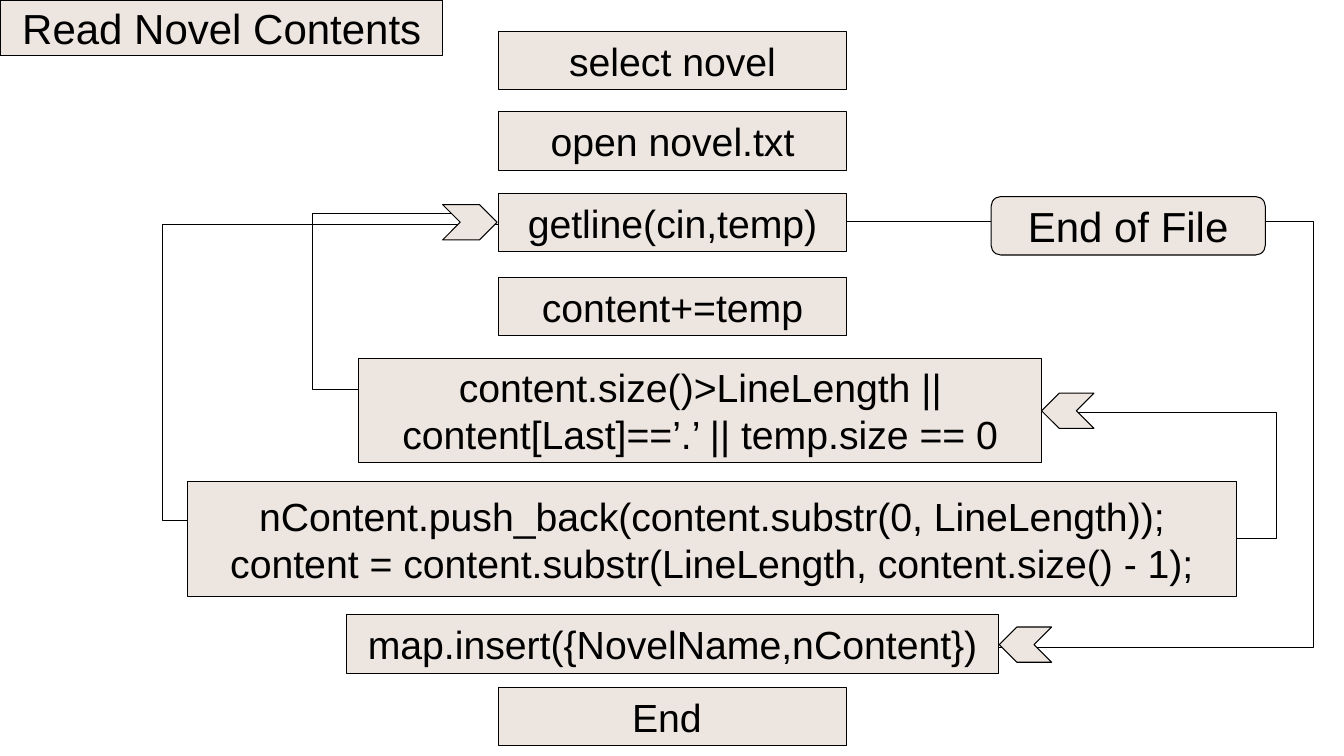
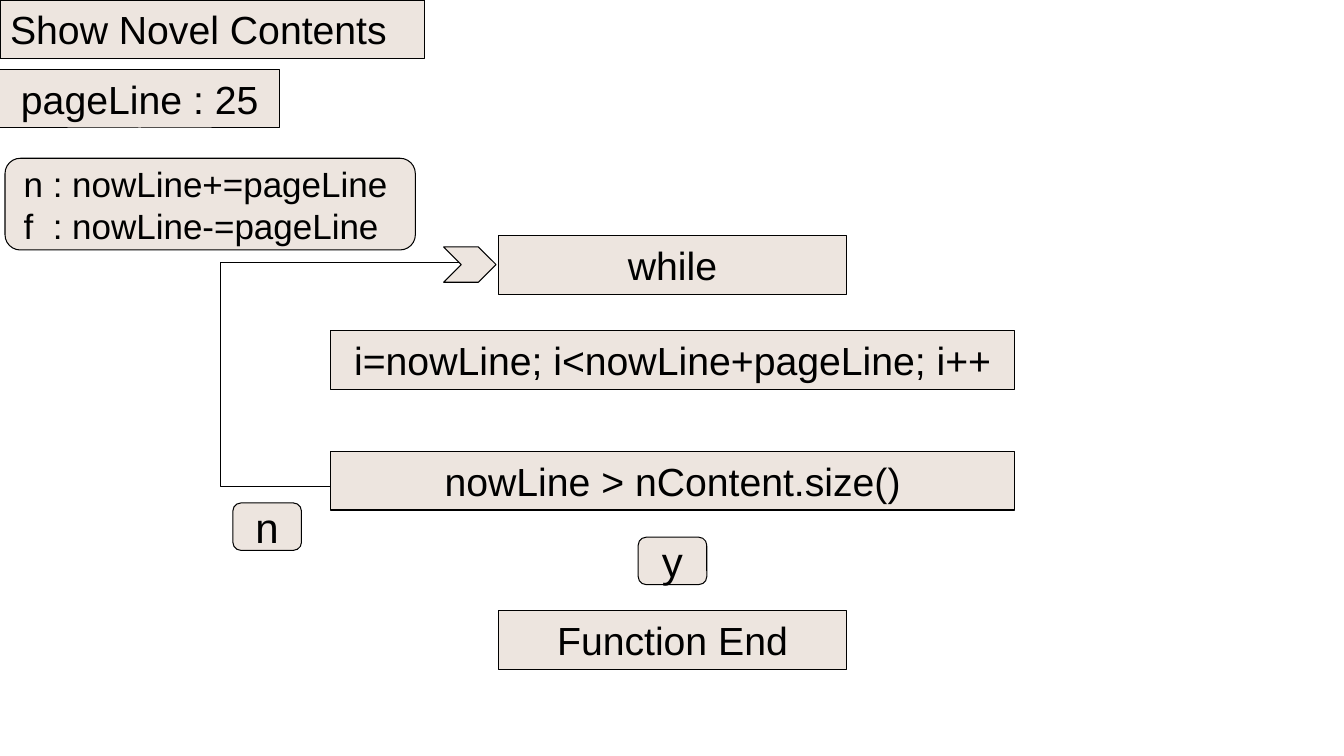
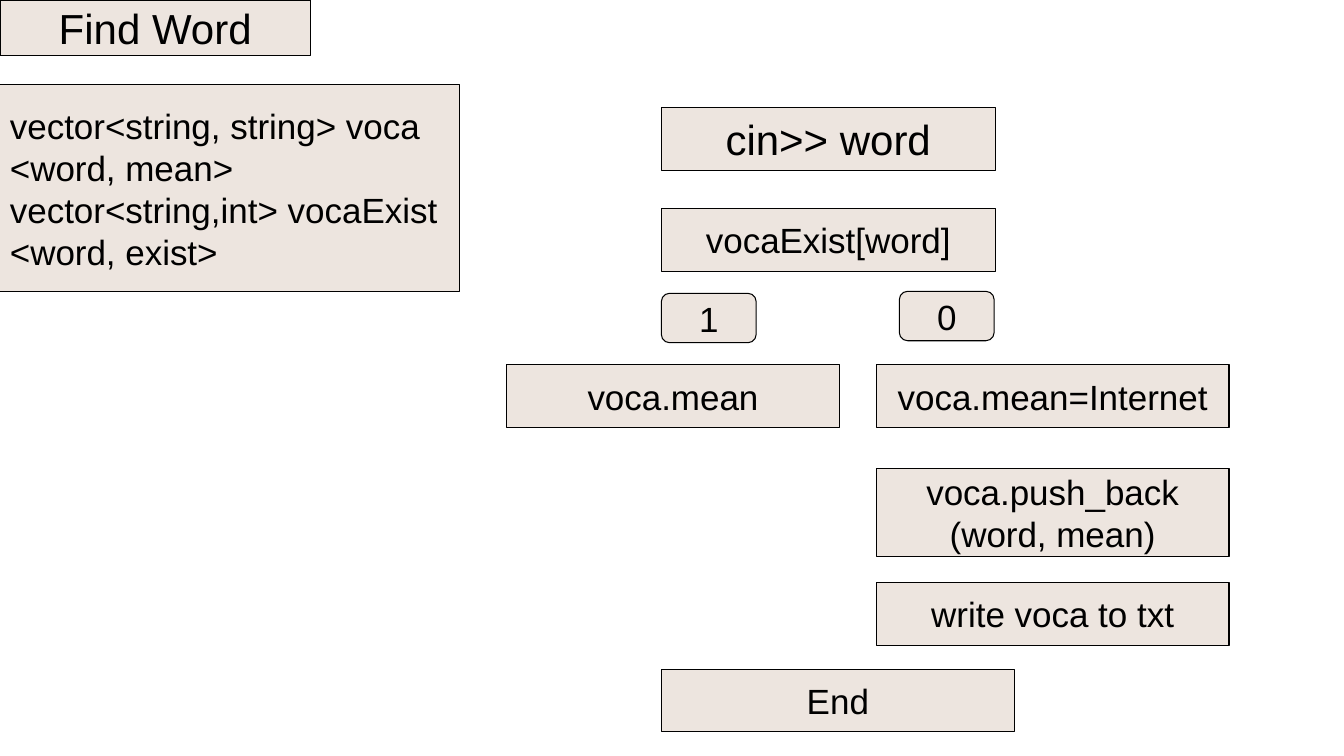
from dataclasses import dataclass, field

from lxml import etree
from pptx import Presentation
from pptx.dml.color import RGBColor
from pptx.enum.shapes import MSO_SHAPE
from pptx.enum.text import MSO_ANCHOR, MSO_AUTO_SIZE, PP_ALIGN
from pptx.oxml.ns import qn
from pptx.util import Inches, Pt

RECTANGLE = MSO_SHAPE.RECTANGLE
ROUNDED = MSO_SHAPE.ROUNDED_RECTANGLE
CHEVRON = MSO_SHAPE.CHEVRON
LEFT = PP_ALIGN.LEFT
CENTER = PP_ALIGN.CENTER
MIDDLE = MSO_ANCHOR.MIDDLE
NO_FIT = MSO_AUTO_SIZE.NONE
TITLE_ONLY = 5


@dataclass(frozen=True)
class Theme:
    """Colours, type sizes and line weight shared by all slides."""
    fill: RGBColor = RGBColor(0xED, 0xE5, 0xDF)
    ink: RGBColor = RGBColor(0, 0, 0)
    font: str = "Arial"
    large: int = 30
    medium: int = 28
    small: int = 25
    outline: float = 0.75
    inset: float = 0.1


THEME = Theme()


@dataclass(frozen=True)
class Box:
    """A filled box with text, measured in inches."""
    text: str
    left: float
    top: float
    width: float
    height: float
    size: int = THEME.medium
    align: PP_ALIGN = CENTER
    preset: MSO_SHAPE = RECTANGLE
    inset_left: float = THEME.inset
    inset_right: float = THEME.inset
    tab: float = 0


@dataclass(frozen=True)
class Arrow:
    """A chevron that marks where a route arrives."""
    left: float
    top: float
    width: float = 0.52
    height: float = 0.35
    rotation: int = 0


@dataclass(frozen=True)
class Flow:
    """One flowchart slide."""
    title: Box
    boxes: list[Box]
    arrows: list[Arrow] = field(default_factory=list)
    routes: list[list[tuple[float, float]]] = field(default_factory=list)


def step(text: str, top: float, width: float = 3.46, inset_right: float = THEME.inset) -> Box:
    """Return a flow step centred on the slide."""
    return Box(text, 6.67 - width / 2, top, width, 0.58, inset_right=inset_right)


def word_step(text: str, left: float, top: float, width: float = 3.5,
              height: float = 0.62, size: int = THEME.small) -> Box:
    """Return a step of the word search."""
    return Box(text, left, top, width, height, size)


def label(text: str, left: float, top: float, width: float, height: float,
          size: int = THEME.large) -> Box:
    """Return a rounded label for a branch."""
    return Box(text, left, top, width, height, size, preset=ROUNDED)


FLOWS = [
    Flow(
        title=Box("Read Novel Contents", 0, 0, 4.39, 0.55, THEME.large, LEFT, inset_left=0.22),
        boxes=[
            step("select novel", 0.31),
            step("open novel.txt", 1.11),
            step("getline(cin,temp)", 1.92),
            step("content+=temp", 2.75),
            Box("content.size()>LineLength ||\ncontent[Last]==’.’ || temp.size == 0",
                3.56, 3.56, 6.77, 1.03),
            Box("nContent.push_back(content.substr(0, LineLength));\n"
                "content = content.substr(LineLength, content.size() - 1);",
                1.86, 4.78, 10.4, 1.14),
            step("map.insert({NovelName,nContent})", 6.1, 6.47),
            step("End", 6.82, inset_right=0.21),
            label("End of File", 9.83, 1.95, 2.72, 0.58),
        ],
        arrows=[
            Arrow(4.39, 2.03, 0.54),
            Arrow(10.33, 3.9, rotation=180),
            Arrow(9.91, 6.22, rotation=180),
        ],
        routes=[
            [(1.86, 5.16), (1.61, 5.16), (1.61, 2.23), (4.94, 2.23)],
            [(3.56, 3.86), (3.1, 3.86), (3.1, 2.12), (4.51, 2.12)],
            [(12.26, 5.34), (12.66, 5.34), (12.66, 4.09), (10.36, 4.09)],
            [(8.4, 2.2), (13.03, 2.2), (13.03, 6.42), (9.9, 6.42)],
        ],
    ),
    Flow(
        title=Box("Show Novel Contents", 0, 0, 4.21, 0.58, align=LEFT),
        boxes=[
            Box("pageLine : 25", 0, 0.69, 2.77, 0.58),
            Box("n\t: nowLine+=pageLine\nf\t: nowLine-=pageLine", 0.05, 1.57, 4.07, 0.91,
                THEME.small, LEFT, ROUNDED, inset_left=0.14, tab=0.29),
            step("while", 2.34),
            step("i=nowLine; i<nowLine+pageLine; i++", 3.28, 6.78),
            step("nowLine > nContent.size()", 4.48, 6.78),
            step("Function End", 6.06),
            label("n", 2.31, 4.99, 0.68, 0.47),
            label("y", 6.33, 5.33, 0.68, 0.47),
        ],
        arrows=[Arrow(4.4, 2.45)],
        routes=[[(3.28, 4.83), (2.19, 4.83), (2.19, 2.6), (4.85, 2.6)]],
    ),
    Flow(
        title=Box("Find Word", 0, 0, 3.08, 0.55, THEME.large),
        boxes=[
            Box("vector<string, string> voca\n<word, mean>\n"
                "vector<string,int> vocaExist\n<word, exist>",
                0, 0.84, 4.56, 2.05, THEME.small, LEFT),
            word_step("cin>> word", 6.56, 1.07, 3.31, size=THEME.large),
            word_step("vocaExist[word]", 6.56, 2.07, 3.31),
            label("1", 6.56, 2.91, 0.94, 0.49, THEME.small),
            label("0", 8.92, 2.89, 0.94, 0.49, THEME.small),
            word_step("voca.mean", 5.02, 3.62, 3.31),
            word_step("voca.mean=Internet", 8.69, 3.62),
            word_step("voca.push_back\n(word, mean)", 8.69, 4.65, height=0.87),
            word_step("write voca to txt", 8.69, 5.78),
            word_step("End", 6.56, 6.64),
        ],
    ),
]


def outline(shape) -> None:
    """Give a shape the common thin outline."""
    shape.line.color.rgb = THEME.ink
    shape.line.width = Pt(THEME.outline)


def paint(shape) -> None:
    """Give a shape the common fill and outline."""
    shape.fill.solid()
    shape.fill.fore_color.rgb = THEME.fill
    outline(shape)


def add_tab(paragraph, position: float) -> None:
    """Add a left tab stop to a paragraph."""
    tabs = etree.SubElement(paragraph._p.get_or_add_pPr(), qn("a:tabLst"))
    etree.SubElement(tabs, qn("a:tab"), pos=str(Inches(position)), algn="l")


def write(shape, box: Box) -> None:
    """Set and format the text of a box."""
    frame = shape.text_frame
    frame.text = box.text
    frame.word_wrap = True
    frame.auto_size = NO_FIT
    frame.vertical_anchor = MIDDLE
    frame.margin_left = Inches(box.inset_left)
    frame.margin_right = Inches(box.inset_right)
    frame.margin_top = frame.margin_bottom = Inches(THEME.inset)
    for paragraph in frame.paragraphs:
        paragraph.alignment = box.align
        if box.tab:
            add_tab(paragraph, box.tab)
        for span in paragraph.runs:
            span.font.name = THEME.font
            span.font.size = Pt(box.size)
            span.font.color.rgb = THEME.ink


def draw_title(page, box: Box) -> None:
    """Move and format the title placeholder."""
    title = page.shapes.title
    title.left, title.top = Inches(box.left), Inches(box.top)
    title.width, title.height = Inches(box.width), Inches(box.height)
    paint(title)
    write(title, box)


def draw_box(page, box: Box) -> None:
    """Draw one box with its text."""
    shape = page.shapes.add_shape(box.preset, Inches(box.left), Inches(box.top),
                                  Inches(box.width), Inches(box.height))
    shape.shadow.inherit = False
    paint(shape)
    write(shape, box)


def draw_arrow(page, arrow: Arrow) -> None:
    """Draw one chevron."""
    shape = page.shapes.add_shape(CHEVRON, Inches(arrow.left), Inches(arrow.top),
                                  Inches(arrow.width), Inches(arrow.height))
    shape.rotation = arrow.rotation
    shape.shadow.inherit = False
    paint(shape)


def draw_route(page, points: list[tuple[float, float]]) -> None:
    """Draw an open line with square corners."""
    start, *rest = [(Inches(x), Inches(y)) for x, y in points]
    builder = page.shapes.build_freeform(*start)
    builder.add_line_segments(rest, close=False)
    route = builder.convert_to_shape()
    route.shadow.inherit = False
    route.fill.background()
    outline(route)


def draw_flow(deck, flow: Flow) -> None:
    """Add one flowchart slide, with routes behind the boxes."""
    page = deck.slides.add_slide(deck.slide_layouts[TITLE_ONLY])
    draw_title(page, flow.title)
    for points in flow.routes:
        draw_route(page, points)
    for box in flow.boxes:
        draw_box(page, box)
    for arrow in flow.arrows:
        draw_arrow(page, arrow)


def main() -> None:
    """Build and save the deck."""
    deck = Presentation()
    deck.slide_width, deck.slide_height = Inches(13.33), Inches(7.5)
    for flow in FLOWS:
        draw_flow(deck, flow)
    deck.save("out.pptx")


if __name__ == "__main__":
    main()
